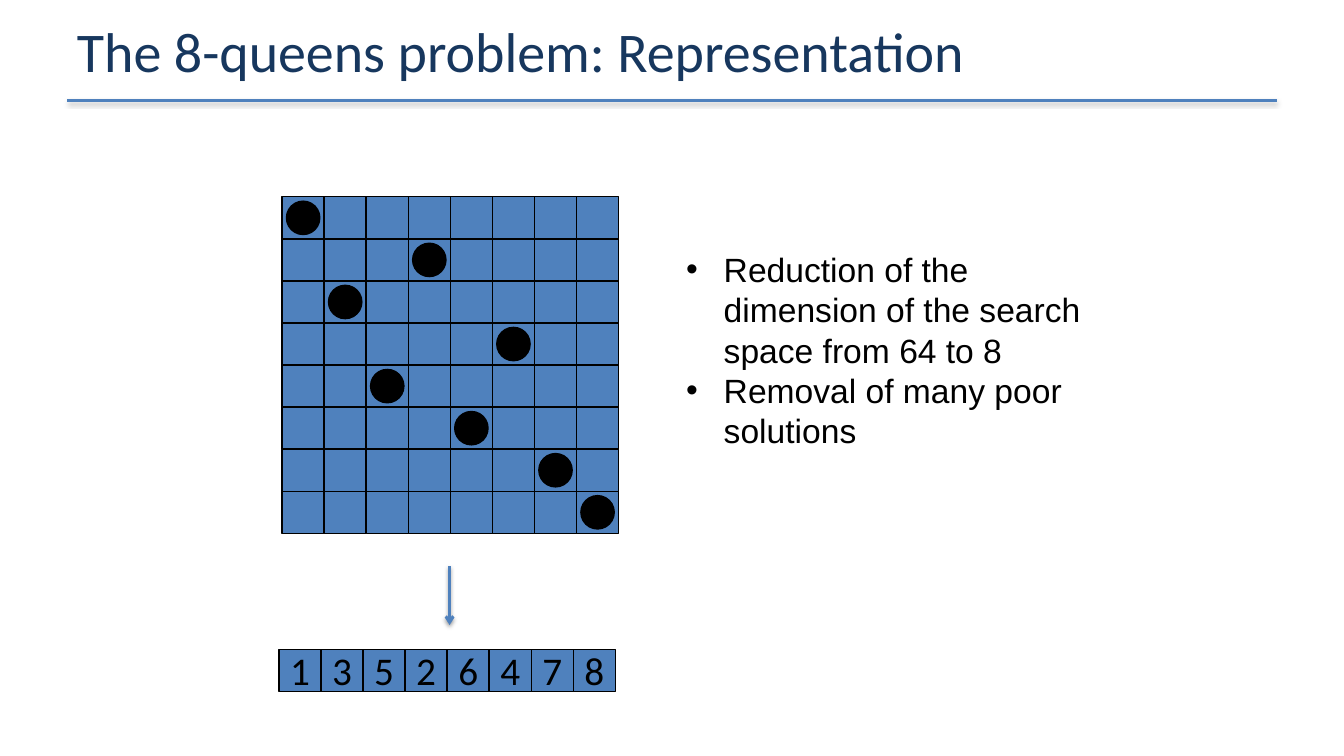
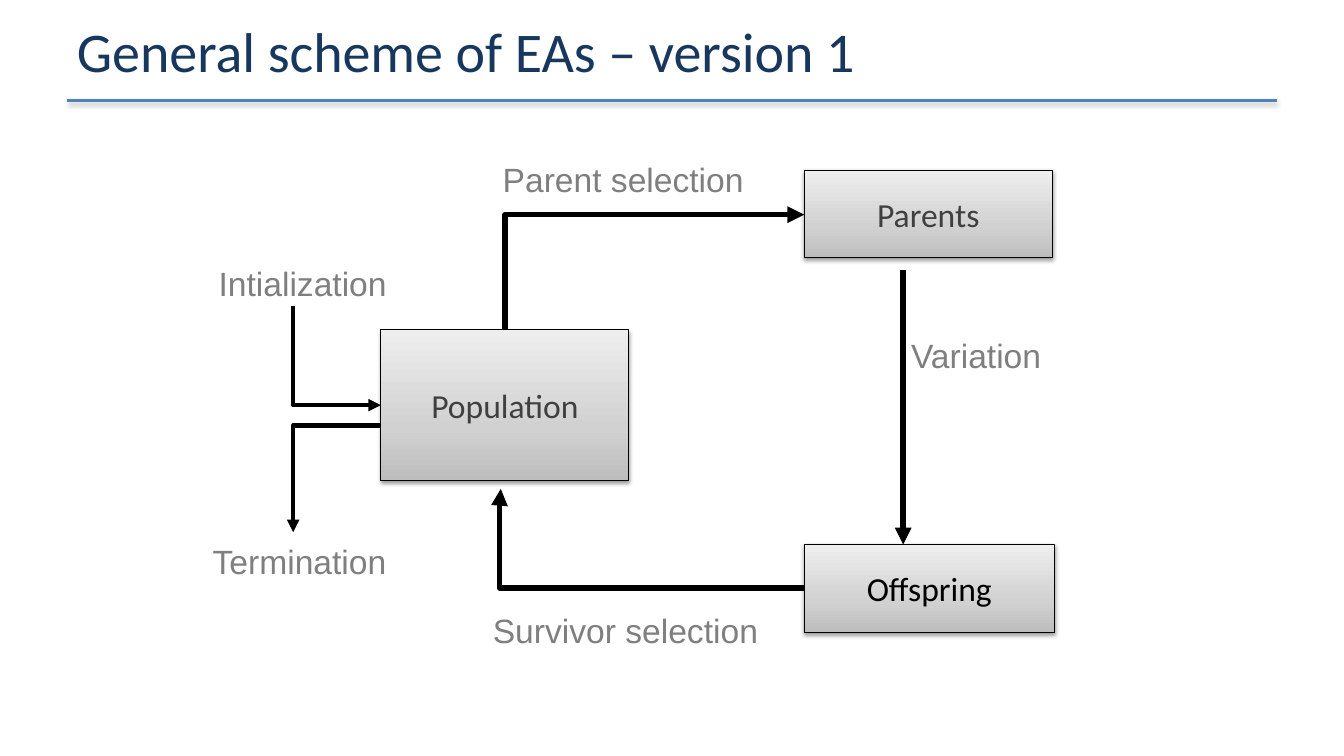
from lxml.etree import SubElement
from pptx import Presentation
from pptx.dml.color import RGBColor
from pptx.enum.shapes import MSO_CONNECTOR, MSO_SHAPE
from pptx.enum.text import MSO_ANCHOR, PP_ALIGN
from pptx.oxml.ns import qn
from pptx.util import Cm, Pt

BLUE = RGBColor(0x4F, 0x81, 0xBD)
NAVY = RGBColor(0x17, 0x37, 0x5E)
BLACK = RGBColor(0, 0, 0)
CHARCOAL = RGBColor(0x40, 0x40, 0x40)
GRAY = RGBColor(0x7F, 0x7F, 0x7F)
GRADIENT = [(0, "BDBDBD"), (35, "D1D1D1"), (100, "EEEEEE")]

TITLE_FONT = {"name": "Calibri", "size": Pt(40), "color": NAVY}
GENE_FONT = {"name": "Calibri", "size": Pt(28), "color": BLACK}
NODE_FONT = {"name": "Calibri", "size": Pt(24), "color": CHARCOAL}
OFFSPRING_FONT = {**NODE_FONT, "color": BLACK}
BULLET_FONT = {"name": "Arial", "size": Pt(24), "color": BLACK}
LABEL_FONT = {**BULLET_FONT, "color": GRAY}
NO_MARGINS = {"margin_left": 0, "margin_right": 0, "margin_top": 0, "margin_bottom": 0}

GENES = [1, 3, 5, 2, 6, 4, 7, 8]
BULLETS = [
    "Reduction of the dimension of the search space from 64 to 8",
    "Removal of many poor solutions",
]
CELL = 1.06
QUEEN = 0.84
BOARD_LEFT, BOARD_TOP = 7.11, 4.96
GENES_LEFT, GENES_TOP = 7.03, 16.36

NODES = [
    ("Population", (9.6, 8.31, 6.25, 3.81), NODE_FONT),
    ("Parents", (20.27, 4.29, 6.25, 2.21), NODE_FONT),
    ("Offspring", (20.27, 13.72, 6.3, 2.21), OFFSPRING_FONT),
]
LABELS = [
    ("Parent selection", (12.42, 3.89, 6.63, 1.27)),
    ("Survivor selection", (12.17, 15.24, 7.26, 1.27)),
    ("Variation", (22.71, 8.31, 3.81, 1.27)),
    ("Intialization", (5.26, 6.5, 4.8, 1.27)),
    ("Termination", (5.11, 13.51, 4.93, 1.27)),
]
RISING_ELBOWS = [
    ((12.73, 8.31), (20.27, 5.41), 4, "tailEnd"),
    ((7.39, 7.7), (9.6, 10.21), 3, "tailEnd"),
    ((7.39, 13.41), (9.6, 10.72), 3, "headEnd"),
]
SURVIVOR_ELBOW = ((20.27, 14.81), (12.62, 12.32))
VARIATION_ARROW = ((22.76, 6.81), (22.76, 13.72))


def set_effects(item, shadowed):
    effects = SubElement(item._element.spPr, qn("a:effectLst"))
    if shadowed:
        shadow = SubElement(effects, qn("a:outerShdw"), blurRad=str(Pt(3.1)),
                            dist=str(Pt(1.6)), dir="5400000", rotWithShape="0")
        color = SubElement(shadow, qn("a:srgbClr"), val=str(BLACK))
        SubElement(color, qn("a:alpha"), val="38000")


def set_line(item, color, width):
    item.line.color.rgb = color
    item.line.width = Pt(width)


def write(para, text, font):
    span = para.add_run()
    span.text = text
    for key, value in font.items():
        if key == "color":
            span.font.color.rgb = value
        else:
            setattr(span.font, key, value)


def add_text(page, place, lines, font, **frame_format):
    box = page.shapes.add_textbox(*map(Cm, place))
    for key, value in frame_format.items():
        setattr(box.text_frame, key, value)
    for number, text in enumerate(lines):
        para = box.text_frame.add_paragraph() if number else box.text_frame.paragraphs[0]
        write(para, text, font)
    return box


def add_block(page, kind, place, line_width=1, fill=BLUE, text="", font=GENE_FONT):
    block = page.shapes.add_shape(kind, *map(Cm, place))
    set_line(block, BLACK, line_width)
    if fill is None:
        block.fill.gradient()
        block.fill.gradient_angle = 90
        stops = block._element.spPr.find(".//" + qn("a:gsLst"))
        stops.clear()
        for position, color in GRADIENT:
            stop = SubElement(stops, qn("a:gs"), pos=str(position * 1000))
            SubElement(stop, qn("a:srgbClr"), val=color)
    else:
        block.fill.solid()
        block.fill.fore_color.rgb = fill
    set_effects(block, fill is None)
    if text:
        frame_format = {"word_wrap": False, "vertical_anchor": MSO_ANCHOR.MIDDLE, **NO_MARGINS}
        for key, value in frame_format.items():
            setattr(block.text_frame, key, value)
        para = block.text_frame.paragraphs[0]
        para.alignment = PP_ALIGN.CENTER
        write(para, text, font)


def add_line(page, start, end, color, width, end_tag=None, head="triangle",
             kind=MSO_CONNECTOR.STRAIGHT, shadowed=False):
    line = page.shapes.add_connector(kind, *map(Cm, (*start, *end)))
    set_line(line, color, width)
    if end_tag:
        SubElement(line.line._get_or_add_ln(), qn("a:" + end_tag), type=head)
    set_effects(line, shadowed)
    return line


def add_elbow(page, start, end, width, end_tag, upright):
    (x1, y1), (x2, y2) = start, end
    across, down = abs(x2 - x1), abs(y2 - y1)
    wide, high = (down, across) if upright else (across, down)
    left, top = (x1 + x2 - wide) / 2, (y1 + y2 - high) / 2
    elbow = add_line(page, (left, top), (left + wide, top + high), BLACK, width, end_tag,
                     kind=MSO_CONNECTOR.ELBOW)
    properties = elbow._element.spPr
    frame = properties.find(qn("a:xfrm"))
    frame.set("rot", str((270 if upright else 180) * 60000))
    geometry = properties.find(qn("a:prstGeom"))
    if upright:
        geometry.set("prst", "bentConnector2")
        if y2 > y1:
            frame.set("flipH", "1")
    else:
        guides = geometry.find(qn("a:avLst"))
        SubElement(guides, qn("a:gd"), name="adj1", fmla="val 100400")


def add_page(deck, title):
    page = deck.slides.add_slide(deck.slide_layouts[6])
    add_line(page, (1.69, 2.54), (32.17, 2.54), BLUE, 2, shadowed=True)
    add_text(page, (1.69, 0.05, 30.48, 2.41), [title], TITLE_FONT, word_wrap=True,
             vertical_anchor=MSO_ANCHOR.MIDDLE, margin_top=0, margin_bottom=0)
    return page


def add_queens_page(deck):
    page = add_page(deck, "The 8-queens problem: Representation")
    size = len(GENES)
    for row in range(size):
        for column in range(size):
            place = (BOARD_LEFT + column * CELL, BOARD_TOP + row * CELL, CELL, CELL)
            add_block(page, MSO_SHAPE.RECTANGLE, place)
    inset = (CELL - QUEEN) / 2
    for column, gene in enumerate(GENES):
        queen_left = BOARD_LEFT + column * CELL + inset
        queen_top = BOARD_TOP + (gene - 1) * CELL + inset
        add_block(page, MSO_SHAPE.OVAL, (queen_left, queen_top, QUEEN, QUEEN), fill=BLACK)
        add_block(page, MSO_SHAPE.RECTANGLE,
                  (GENES_LEFT + column * CELL, GENES_TOP, CELL, CELL), text=str(gene))
    add_line(page, (11.33, 14.27), (11.33, 15.75), BLUE, 2, "tailEnd", "arrow", shadowed=True)
    box = add_text(page, (17.04, 6.15, 10.54, 5.38), BULLETS, BULLET_FONT, word_wrap=True)
    for para in box.text_frame.paragraphs:
        properties = para._p.get_or_add_pPr()
        properties.set("marL", str(Cm(0.95)))
        properties.set("indent", str(-Cm(0.95)))
        SubElement(properties, qn("a:buFont"), typeface="Arial")
        SubElement(properties, qn("a:buChar"), char="•")


def add_scheme_page(deck):
    page = add_page(deck, "General scheme of EAs – version 1")
    for text, place, font in NODES:
        add_block(page, MSO_SHAPE.RECTANGLE, place, 0.75, None, text, font)
    for text, place in LABELS:
        add_text(page, place, [text], LABEL_FONT, word_wrap=False)
    for start, end, width, end_tag in RISING_ELBOWS:
        add_elbow(page, start, end, width, end_tag, upright=True)
    add_elbow(page, *SURVIVOR_ELBOW, 4, "tailEnd", upright=False)
    add_line(page, *VARIATION_ARROW, BLACK, 4, "tailEnd")


def main():
    deck = Presentation()
    deck.slide_width, deck.slide_height = Cm(33.87), Cm(19.05)
    add_queens_page(deck)
    add_scheme_page(deck)
    deck.save("out.pptx")


if __name__ == "__main__":
    main()
